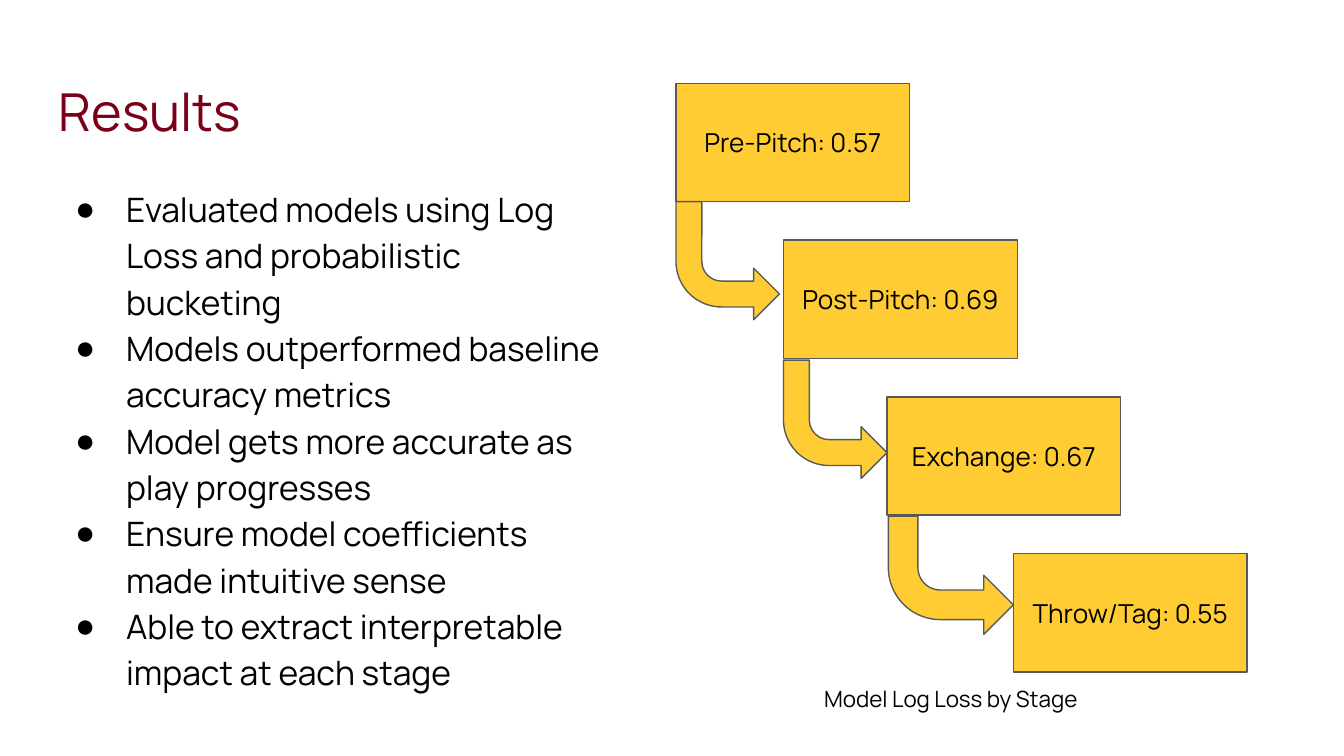
from lxml.etree import SubElement
from pptx import Presentation
from pptx.dml.color import RGBColor
from pptx.enum.shapes import MSO_SHAPE
from pptx.enum.text import MSO_ANCHOR, PP_ALIGN
from pptx.oxml.ns import qn
from pptx.util import Inches, Pt

FONT = "Manrope"
BLACK, MAROON, GOLD, GREY = "000000", "7A0019", "FFCC33", "595959"
SLIDE_WIDTH = 10
SLIDE_HEIGHT = SLIDE_WIDTH * 9 / 16
STAGE_WIDTH, STAGE_HEIGHT = 1.74, 0.88
STAGE_TOP_STEP = 3.5 / 3

FINDINGS = [
    "Evaluated models using Log Loss and probabilistic bucketing",
    "Models outperformed baseline accuracy metrics",
    "Model gets more accurate as play progresses",
    "Ensure model coefficients made intuitive sense",
    "Able to extract interpretable impact at each stage",
]
STAGES = [
    ("Pre-Pitch: 0.57", 0),
    ("Post-Pitch: 0.69", 0.8),
    ("Exchange: 0.67", 1.57),
    ("Throw/Tag: 0.55", 2.51),
]
ARROWS = [(0, 0.88, 0.77), (0.8, 2.06, 0.77), (1.58, 3.22, 0.93)]


def color(value):
    return RGBColor.from_string(value)


def set_values(target, values):
    for name, value in values.items():
        setattr(target, name, value)


def write(box, lines, size, ink=BLACK, align=PP_ALIGN.LEFT, anchor=MSO_ANCHOR.TOP):
    frame = box.text_frame
    margins = {f"margin_{side}": Inches(0.1) for side in ("left", "top", "right", "bottom")}
    set_values(frame, {"word_wrap": True, "vertical_anchor": anchor, **margins})
    for index, line in enumerate(lines):
        para = frame.add_paragraph() if index else frame.paragraphs[0]
        para.alignment = align
        span = para.add_run()
        span.text = line
        set_values(span.font, {"name": FONT, "size": Pt(size)})
        span.font.color.rgb = color(ink)
    return frame.paragraphs


def add_text(page, area, lines, size, **style):
    box = page.shapes.add_textbox(*map(Inches, area))
    return write(box, lines, size, **style)


def add_bullet(para):
    para.line_spacing = 1.15
    properties = para._p.get_or_add_pPr()
    indents = {"marL": Inches(0.5), "indent": Inches(-0.38)}
    for name, value in indents.items():
        properties.set(name, str(int(value)))
    bullet_color = SubElement(properties, qn("a:buClr"))
    SubElement(bullet_color, qn("a:srgbClr")).set("val", BLACK)
    SubElement(properties, qn("a:buFont")).set("typeface", "Arial")
    SubElement(properties, qn("a:buChar")).set("char", "●")


def add_block(page, kind, area):
    block = page.shapes.add_shape(kind, *map(Inches, area))
    block.shadow.inherit = False
    block.fill.solid()
    block.fill.fore_color.rgb = color(GOLD)
    block.line.color.rgb = color(GREY)
    block.line.width = Pt(0.75)
    return block


def add_findings(page, area):
    for para in add_text(page, area, FINDINGS, 18):
        add_bullet(para)


def add_stages(page, left, top):
    for index, (label, offset) in enumerate(STAGES):
        area = (left + offset, top + index * STAGE_TOP_STEP, STAGE_WIDTH, STAGE_HEIGHT)
        stage = add_block(page, MSO_SHAPE.RECTANGLE, area)
        write(stage, [label], 14, align=PP_ALIGN.CENTER, anchor=MSO_ANCHOR.MIDDLE)
    for offset, drop, width in ARROWS:
        area = (left + offset, top + drop, width, STAGE_HEIGHT)
        arrow = add_block(page, MSO_SHAPE.BENT_ARROW, area)
        for index, value in enumerate((0.25, 0.25, 0.25, 0.44)):
            arrow.adjustments[index] = value
        arrow.rotation = 180
        arrow._element.spPr.find(qn("a:xfrm")).set("flipH", "1")


def build_results(page):
    add_text(page, (0.34, 0.49, 9.32, 0.63), ["Results"], 28, ink=MAROON)
    add_findings(page, (0.34, 1.26, 4.37, 3.74))
    add_stages(page, 5.03, 0.62)
    caption = ["Model Log Loss by Stage"]
    add_text(page, (5.25, 5, 3.65, 0.31), caption, 12, align=PP_ALIGN.CENTER)


deck = Presentation()
set_values(deck, {"slide_width": Inches(SLIDE_WIDTH), "slide_height": Inches(SLIDE_HEIGHT)})
build_results(deck.slides.add_slide(deck.slide_layouts[6]))
deck.save("out.pptx")
